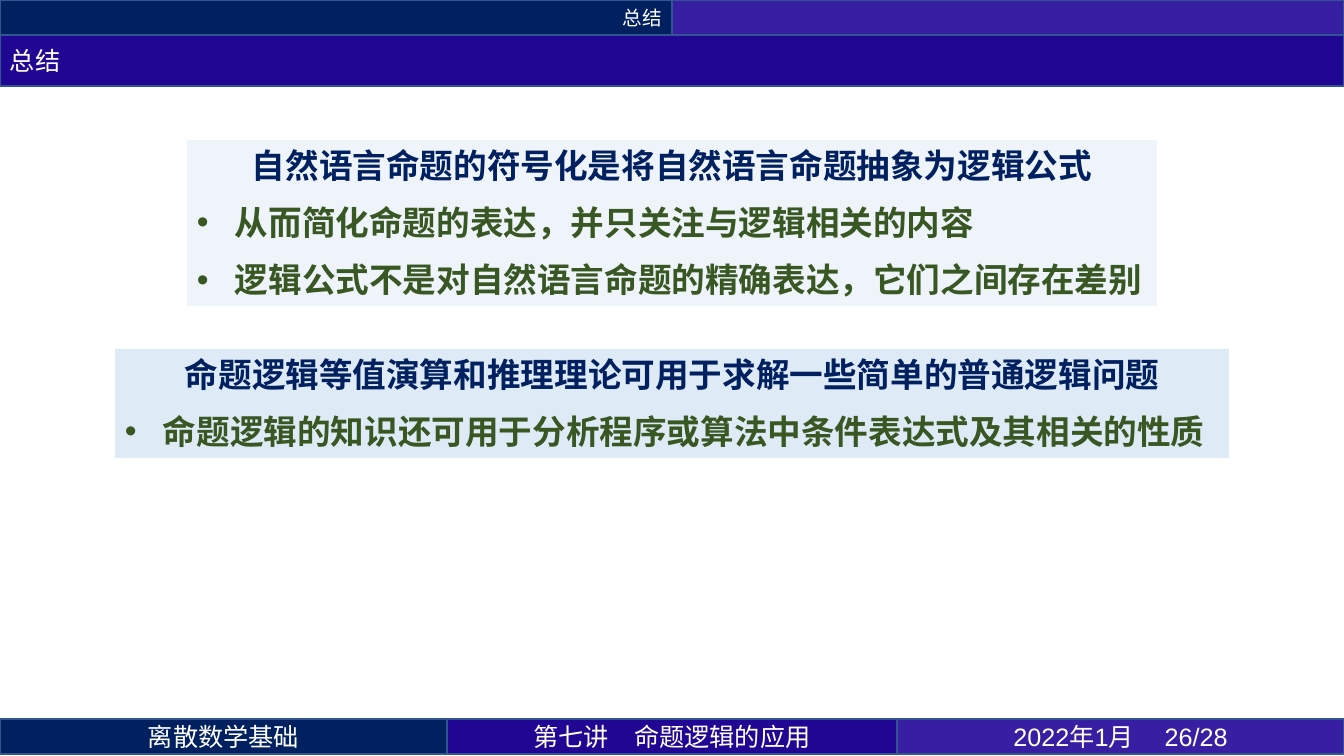
"""Build the summary slide of a discrete mathematics lecture."""
import lxml.etree
import pptx
import pptx.util
import pptx.dml.color
import pptx.enum.shapes
import pptx.enum.text
import pptx.oxml.ns

RGB = pptx.dml.color.RGBColor
ALIGN = pptx.enum.text.PP_ALIGN
ANCHOR = pptx.enum.text.MSO_ANCHOR
NAVY = RGB(0x00, 0x20, 0x60)
INDIGO = RGB(0x21, 0x06, 0x94)
VIOLET = RGB(0x37, 0x1E, 0xA2)
BORDER = RGB(0x32, 0x54, 0x91)
PALE = RGB(0xDE, 0xEB, 0xF7)
GREEN = RGB(0x38, 0x57, 0x23)
WHITE = RGB(0xFF, 0xFF, 0xFF)
CJK = "Noto Sans CJK SC"
LATIN = "Arial"

WIDTH, HEIGHT = 1344, 756
PX = 12192000 / WIDTH
INDENT = 38

BARS = [
    ((0, 0, 672, 35), NAVY, "总结", 14, CJK, ALIGN.RIGHT),
    ((672, 0, 672, 35), VIOLET, "", 14, CJK, ALIGN.LEFT),
    ((0, 719, 447, 35), NAVY, "离散数学基础", 18, CJK, ALIGN.CENTER),
    ((447, 719, 450, 35), INDIGO, "第七讲\t命题逻辑的应用", 18, CJK, ALIGN.CENTER),
    ((897, 719, 447, 35), VIOLET, "2022年1月 \t26/28", 18, LATIN, ALIGN.CENTER),
    ((0, 35, 1344, 51), INDIGO, "总结", 18, CJK, ALIGN.LEFT),
]
PANELS = [
    ((187, 140, 970, 166), 50, "自然语言命题的符号化是将自然语言命题抽象为逻辑公式",
     ["从而简化命题的表达，并只关注与逻辑相关的内容",
      "逻辑公式不是对自然语言命题的精确表达，它们之间存在差别"]),
    ((115, 349, 1114, 109), 100, "命题逻辑等值演算和推理理论可用于求解一些简单的普通逻辑问题",
     ["命题逻辑的知识还可用于分析程序或算法中条件表达式及其相关的性质"]),
]


def px(length):
    return pptx.util.Emu(round(length * PX))


def add_child(parent, tag, **attributes):
    lxml.etree.SubElement(parent, pptx.oxml.ns.qn(tag), **attributes)


def add_box(slide, place, fill):
    box = slide.shapes.add_shape(
        pptx.enum.shapes.MSO_SHAPE.RECTANGLE, *map(px, place))
    box.shadow.inherit = False
    box.fill.solid()
    box.fill.fore_color.rgb = fill
    box.text_frame.word_wrap = True
    return box


def style(para, size, font, color, align, bold=False):
    para.alignment = align
    for span in para.runs:
        span.font.size = pptx.util.Pt(size)
        span.font.bold = bold
        span.font.color.rgb = color
        span.font.name = font
        add_child(span._r.get_or_add_rPr(), "a:ea", typeface=CJK)


def add_bar(slide, place, fill, text, size, font, align):
    box = add_box(slide, place, fill)
    box.line.color.rgb = BORDER
    box.line.width = pptx.util.Pt(1)
    box.text_frame.vertical_anchor = ANCHOR.MIDDLE
    if text:
        para = box.text_frame.paragraphs[0]
        para.text = text
        style(para, size, font, WHITE, align)


def add_panel(slide, place, opacity, heading, points):
    box = add_box(slide, place, PALE)
    box.line.fill.background()
    if opacity < 100:
        color = box._element.spPr.find(".//" + pptx.oxml.ns.qn("a:srgbClr"))
        add_child(color, "a:alpha", val=str(opacity * 1000))
    frame = box.text_frame
    frame.vertical_anchor = ANCHOR.TOP
    frame.text = "\n".join([heading, *points])
    for index, para in enumerate(frame.paragraphs):
        para.space_after = pptx.util.Pt(6)
        if index == 0:
            style(para, 24, CJK, NAVY, ALIGN.CENTER, True)
            continue
        para.space_before = pptx.util.Pt(6)
        properties = para._p.get_or_add_pPr()
        properties.set("marL", str(px(INDENT)))
        properties.set("indent", str(-px(INDENT)))
        add_child(properties, "a:buFont", typeface=LATIN)
        add_child(properties, "a:buChar", char="•")
        style(para, 24, CJK, GREEN, ALIGN.LEFT, True)


def main():
    deck = pptx.Presentation()
    deck.slide_width, deck.slide_height = px(WIDTH), px(HEIGHT)
    slide = deck.slides.add_slide(deck.slide_layouts[6])
    for bar in BARS:
        add_bar(slide, *bar)
    for panel in PANELS:
        add_panel(slide, *panel)
    deck.save("out.pptx")


if __name__ == "__main__":
    main()
